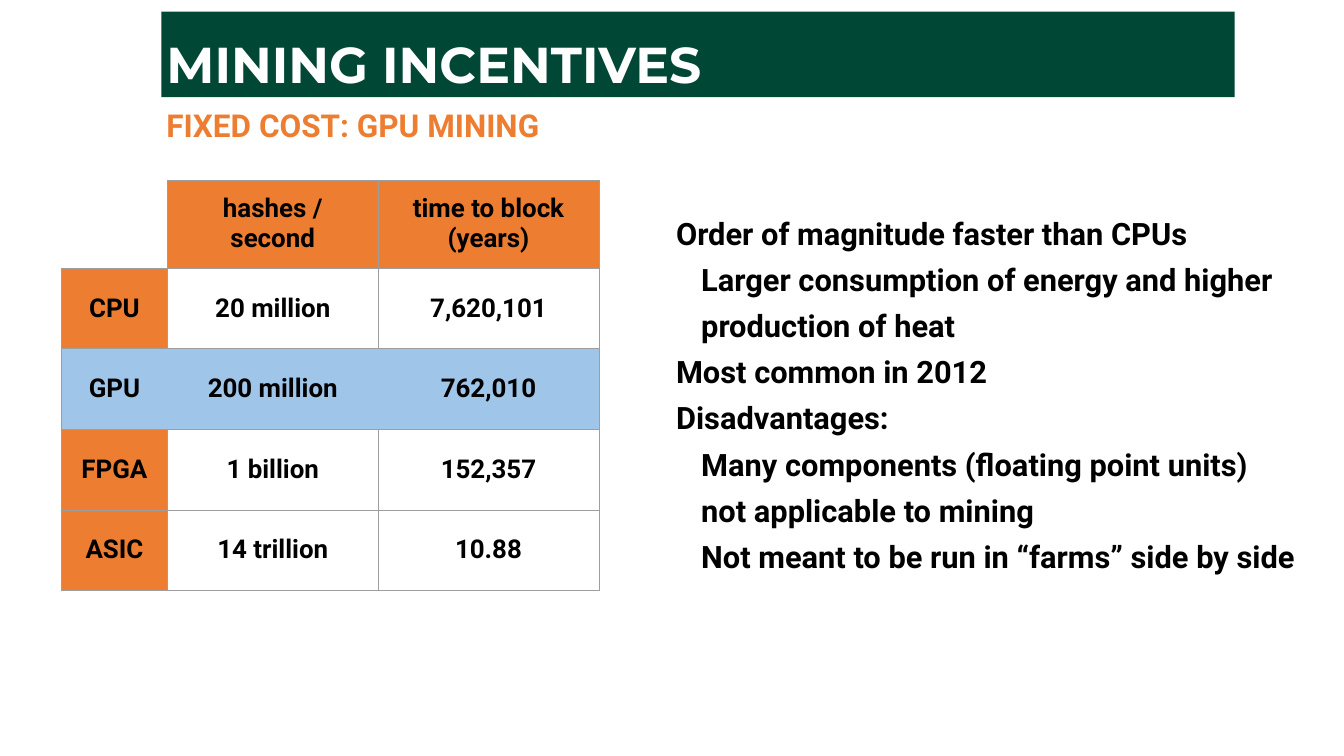
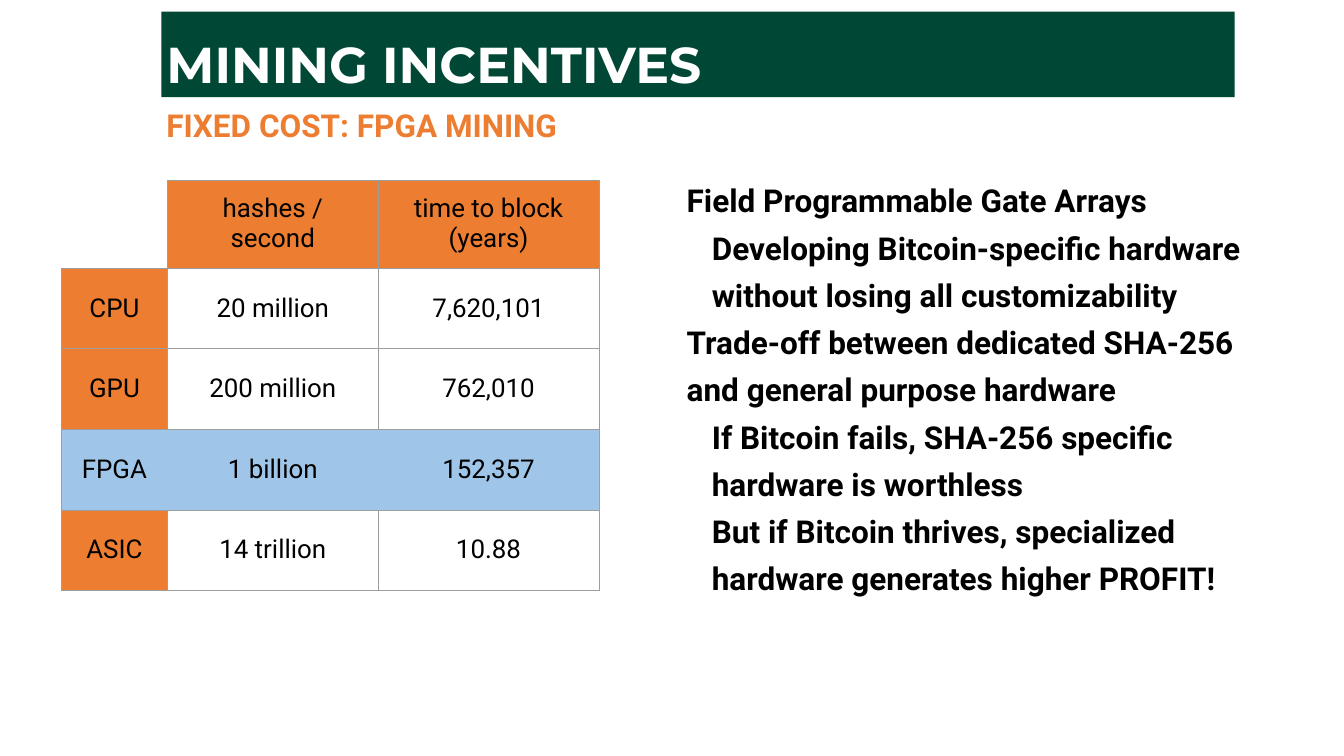
from lxml import etree
from pptx import Presentation
from pptx.dml.color import RGBColor
from pptx.enum.text import MSO_ANCHOR, MSO_AUTO_SIZE, PP_ALIGN
from pptx.oxml.ns import qn
from pptx.util import Inches, Pt

LEFT, CENTER = PP_ALIGN.LEFT, PP_ALIGN.CENTER
MIDDLE, TOP = MSO_ANCHOR.MIDDLE, MSO_ANCHOR.TOP
NO_AUTOFIT = MSO_AUTO_SIZE.NONE
TITLE_ONLY = 5

COLORS = {
    "band": "004735",
    "accent": "ED7D31",
    "highlight": "9FC5E8",
    "border": "9E9E9E",
    "text": "000000",
    "white": "FFFFFF",
}
TITLE_FONT, BODY_FONT = "Montserrat", "Roboto"

COLUMN_WIDTHS = (2.1, 4.18, 4.38)
ROW_HEIGHT = 1.6
HARDWARE_ROWS = [
    ("", "hashes / second", "time to block (years)"),
    ("CPU", "20 million", "7,620,101"),
    ("GPU", "200 million", "762,010"),
    ("FPGA", "1 billion", "152,357"),
    ("ASIC", "14 trillion", "10.88"),
]

GPU_POINTS = [
    (0, "Order of magnitude faster than CPUs"),
    (1, "Larger consumption of energy and higher production of heat"),
    (0, "Most common in 2012"),
    (0, "Disadvantages:"),
    (1, "Many components (floating point units) not applicable to mining"),
    (1, "Not meant to be run in “farms” side by side"),
]
FPGA_POINTS = [
    (0, "Field Programmable Gate Arrays"),
    (1, "Developing Bitcoin-specific hardware without losing all customizability"),
    (0, "Trade-off between dedicated SHA-256 and general purpose hardware"),
    (1, "If Bitcoin fails, SHA-256 specific hardware is worthless"),
    (1, "But if Bitcoin thrives, specialized hardware generates higher PROFIT!"),
]


def rgb(name):
    return RGBColor.from_string(COLORS[name])


def style_paragraph(para, size, color, font=BODY_FONT, bold=True, align=LEFT):
    para.alignment = align
    for span in para.runs:
        span.font.name = font
        span.font.size = Pt(size)
        span.font.bold = bold
        span.font.color.rgb = rgb(color)


def set_frame(frame, anchor, margin_x, margin_y):
    frame.word_wrap = True
    frame.auto_size = NO_AUTOFIT
    frame.vertical_anchor = anchor
    frame.margin_left = frame.margin_right = Inches(margin_x)
    frame.margin_top = frame.margin_bottom = Inches(margin_y)


def add_title_band(slide, text):
    title = slide.shapes.title
    title.left, title.top = Inches(3.2), Inches(0.23)
    title.width, title.height = Inches(21.29), Inches(1.7)
    title.fill.solid()
    title.fill.fore_color.rgb = rgb("band")
    frame = title.text_frame
    frame.text = text
    set_frame(frame, MIDDLE, 0.1, 0.05)
    para = frame.paragraphs[0]
    para.line_spacing = 1.31
    style_paragraph(para, 72, "white", TITLE_FONT)


def add_subtitle(slide, text):
    box = slide.shapes.add_textbox(Inches(3.2), Inches(1.93), Inches(11.77), Inches(1.1))
    frame = box.text_frame
    frame.text = text
    set_frame(frame, MIDDLE, 0.1, 0.05)
    style_paragraph(frame.paragraphs[0], 45, "accent")


def add_bullet(para, level):
    """Give the paragraph its level, hanging indent and white bullet."""
    para.level = level
    properties = para._p.get_or_add_pPr()
    properties.set("marL", str(Inches(0.5 * (level + 1))))
    properties.set("indent", str(Inches(-0.56)))
    color = etree.SubElement(properties, qn("a:buClr"))
    etree.SubElement(color, qn("a:srgbClr"), val=COLORS["white"])
    etree.SubElement(properties, qn("a:buChar"), char="●○"[level])


def add_points(slide, points, area, size):
    box = slide.shapes.add_textbox(*map(Inches, area))
    frame = box.text_frame
    set_frame(frame, TOP, 0, 0)
    for index, (level, text) in enumerate(points):
        para = frame.add_paragraph() if index else frame.paragraphs[0]
        para.text = text
        add_bullet(para, level)
        para.line_spacing = 1.25
        style_paragraph(para, size, "text")


def set_borders(cell, shown):
    """Draw the sides named in shown (letters of LRTB) and clear the others."""
    properties = cell._tc.get_or_add_tcPr()
    for side in "LRTB":
        line = etree.SubElement(properties, qn("a:ln" + side), w=str(Pt(0.75)))
        if side in shown:
            fill = etree.SubElement(line, qn("a:solidFill"))
            etree.SubElement(fill, qn("a:srgbClr"), val=COLORS["border"])
        else:
            etree.SubElement(line, qn("a:noFill"))


def cell_look(row, column, highlighted):
    """Return the fill colour and the bordered sides of a cell."""
    if row == column == 0:
        return None, "RB"
    if highlighted:
        return "highlight", ("LTB", "TB", "RTB")[column]
    return ("accent" if row == 0 or column == 0 else "white"), "LRTB"


def add_hardware_table(slide, highlight, bold):
    table = slide.shapes.add_table(
        len(HARDWARE_ROWS), len(COLUMN_WIDTHS), Inches(1.22), Inches(3.57),
        Inches(sum(COLUMN_WIDTHS)), Inches(ROW_HEIGHT * len(HARDWARE_ROWS))).table
    table.first_row = table.horz_banding = False
    for column, width in zip(table.columns, COLUMN_WIDTHS):
        column.width = Inches(width)
    for row, values in enumerate(HARDWARE_ROWS):
        table.rows[row].height = Inches(ROW_HEIGHT)
        for column, value in enumerate(values):
            cell = table.cell(row, column)
            fill, sides = cell_look(row, column, values[0] == highlight)
            set_borders(cell, sides)
            if fill is None:
                cell.fill.background()
                continue
            cell.fill.solid()
            cell.fill.fore_color.rgb = rgb(fill)
            cell.vertical_anchor = MIDDLE
            cell.margin_left = cell.margin_right = Inches(0.27)
            cell.margin_top = cell.margin_bottom = Inches(0.27)
            cell.text_frame.text = value
            style_paragraph(cell.text_frame.paragraphs[0], 37, "text",
                            bold=bold, align=CENTER)


def add_mining_slide(deck, hardware, points, points_area, points_size, bold_table):
    slide = deck.slides.add_slide(deck.slide_layouts[TITLE_ONLY])
    add_title_band(slide, "MINING INCENTIVES")
    add_subtitle(slide, f"FIXED COST: {hardware} MINING")
    add_hardware_table(slide, hardware, bold_table)
    add_points(slide, points, points_area, points_size)


def main():
    deck = Presentation()
    deck.slide_width, deck.slide_height = Inches(26.66), Inches(15)
    add_mining_slide(deck, "GPU", GPU_POINTS, (12.91, 4.07, 12.8, 7.65), 44, True)
    add_mining_slide(deck, "FPGA", FPGA_POINTS, (13.12, 3.41, 12.42, 8.48), 45, False)
    deck.save("out.pptx")


if __name__ == "__main__":
    main()
